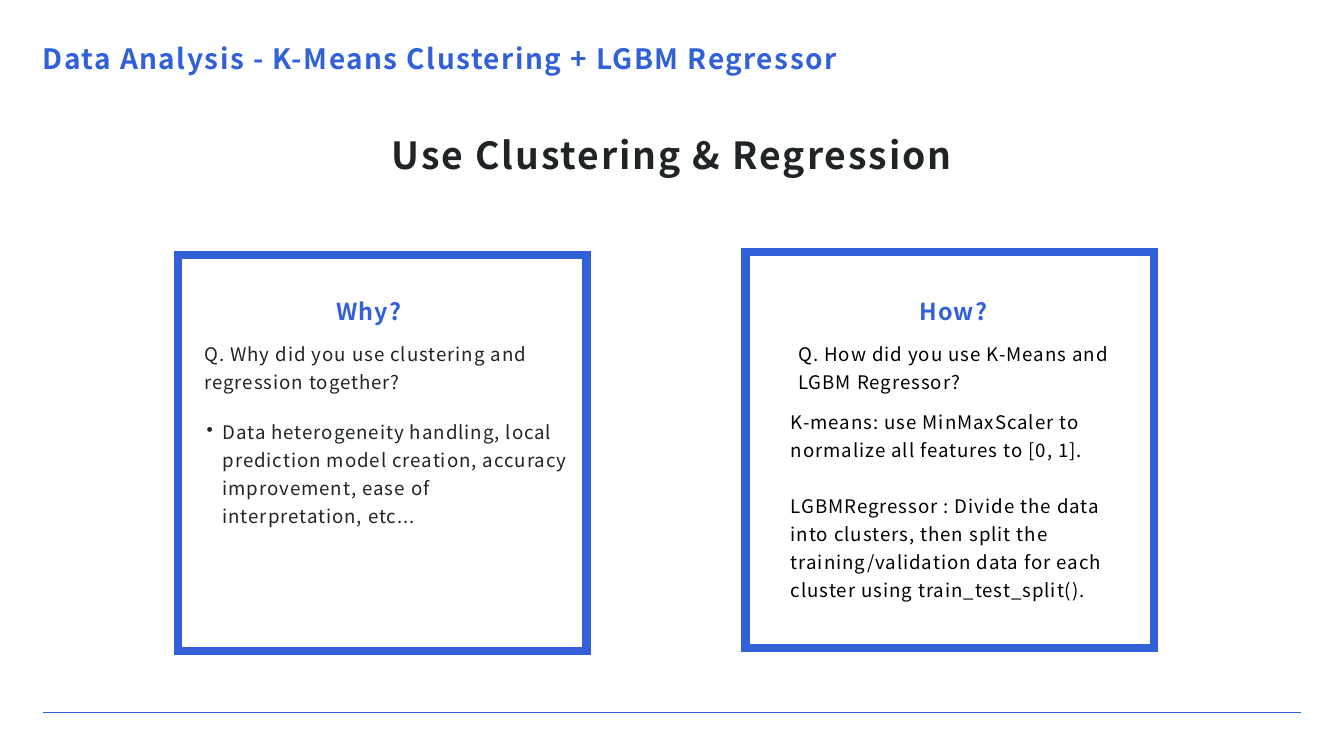
"""Build the slide on clustering and regression, with a Why and a How panel."""
import pptx
import pptx.dml.color
import pptx.enum.shapes
import pptx.enum.text
import pptx.oxml
import pptx.oxml.ns
import pptx.util
from lxml import etree

Pt = pptx.util.Pt
BLUE, DARK, BLACK = "3160D8", "1F2427", "000000"
LEFT = pptx.enum.text.PP_ALIGN.LEFT
CENTER = pptx.enum.text.PP_ALIGN.CENTER


def color(value):
    return pptx.dml.color.RGBColor.from_string(value)


def add_text(text, left, top, width, height, size=20, ink=BLACK, bold=False,
             spacing=1, leading=30, align=LEFT, gap=0, bullet=False):
    box = slide.shapes.add_textbox(Pt(left), Pt(top), Pt(width), Pt(height))
    frame = box.text_frame
    frame.margin_left = frame.margin_top = frame.margin_right = frame.margin_bottom = 0
    frame.word_wrap = True
    frame.auto_size = pptx.enum.text.MSO_AUTO_SIZE.SHAPE_TO_FIT_TEXT
    for index, line in enumerate(text.split("\n")):
        paragraph = frame.add_paragraph() if index else frame.paragraphs[0]
        paragraph.alignment = align
        paragraph.line_spacing = Pt(leading)
        if index:
            paragraph.space_before = Pt(gap)
        if bullet:
            paragraph.level = 1
            properties = paragraph._p.get_or_add_pPr()
            properties.set("marL", str(Pt(34)))
            properties.set("indent", str(Pt(-17)))
            etree.SubElement(properties, pptx.oxml.ns.qn("a:buChar"), char="•")
        run = paragraph.add_run()
        run.text = line
        run.font.name = "Noto Sans CJK SC"
        run.font.size = Pt(size)
        run.font.bold = bold
        run.font.color.rgb = color(ink)
        properties = run._r.get_or_add_rPr()
        properties.set("spc", str(round(spacing * 100)))
        etree.SubElement(properties, pptx.oxml.ns.qn("a:ea"), typeface="Noto Sans CJK SC")


presentation = pptx.Presentation()
presentation.slide_width = Pt(1440)
presentation.slide_height = Pt(810)
slide = presentation.slides.add_slide(presentation.slide_layouts[6])

for left, top in ((190.6, 273.2), (798.6, 270.2)):
    panel = slide.shapes.add_shape(pptx.enum.shapes.MSO_SHAPE.RECTANGLE,
                                   Pt(left), Pt(top), Pt(438), Pt(424.4))
    panel.shadow.inherit = False
    panel.fill.background()
    panel.line.color.rgb = color(BLUE)
    panel.line.width = Pt(9)
    etree.SubElement(panel.line._get_or_add_ln(), pptx.oxml.ns.qn("a:miter"), lim="800000")

footer_line = slide.shapes.add_connector(pptx.enum.shapes.MSO_CONNECTOR.STRAIGHT,
                                         Pt(46), Pt(763.4), Pt(1394), Pt(763.4))
footer_line.line.color.rgb = color(BLUE)
footer_line.line.width = Pt(1.5)
etree.SubElement(footer_line._element.spPr, pptx.oxml.ns.qn("a:effectLst"))

add_text("Data Analysis - K-Means Clustering + LGBM Regressor", 46, 47.5, 859, 34.6,
         size=30, ink=BLUE, bold=True, spacing=1.6, leading=33)
add_text("Use Clustering & Regression", 416.6, 145.4, 607, 44.6,
         size=40, ink=DARK, bold=True, spacing=2.1, leading=44, align=CENTER)

for heading, left, width in (("Why?", 350, 90.6), ("How?", 980.6, 81.4)):
    add_text(heading, left, 320.4, width, 28, size=25, ink=BLUE, bold=True,
             spacing=1.3, leading=27.5, align=CENTER)

add_text("Q. Why did you use clustering and regression together?",
         218.9, 361.4, 381, 88.6, ink=DARK)
add_text("Data heterogeneity handling, local prediction model creation, accuracy "
         "improvement, ease of interpretation, etc...",
         204.5, 445, 409.7, 148.3, ink=DARK, bullet=True)
add_text("Q. How did you use K-Means and LGBM Regressor?", 855.4, 361.4, 338.4, 88.6)
add_text("K-means: use MinMaxScaler to normalize all features to [0, 1].\n"
         "LGBMRegressor : Divide the data into clusters, then split the "
         "training/validation data for each cluster using train_test_split().",
         847.4, 434.2, 355, 238.3, gap=30)

presentation.save("out.pptx")
